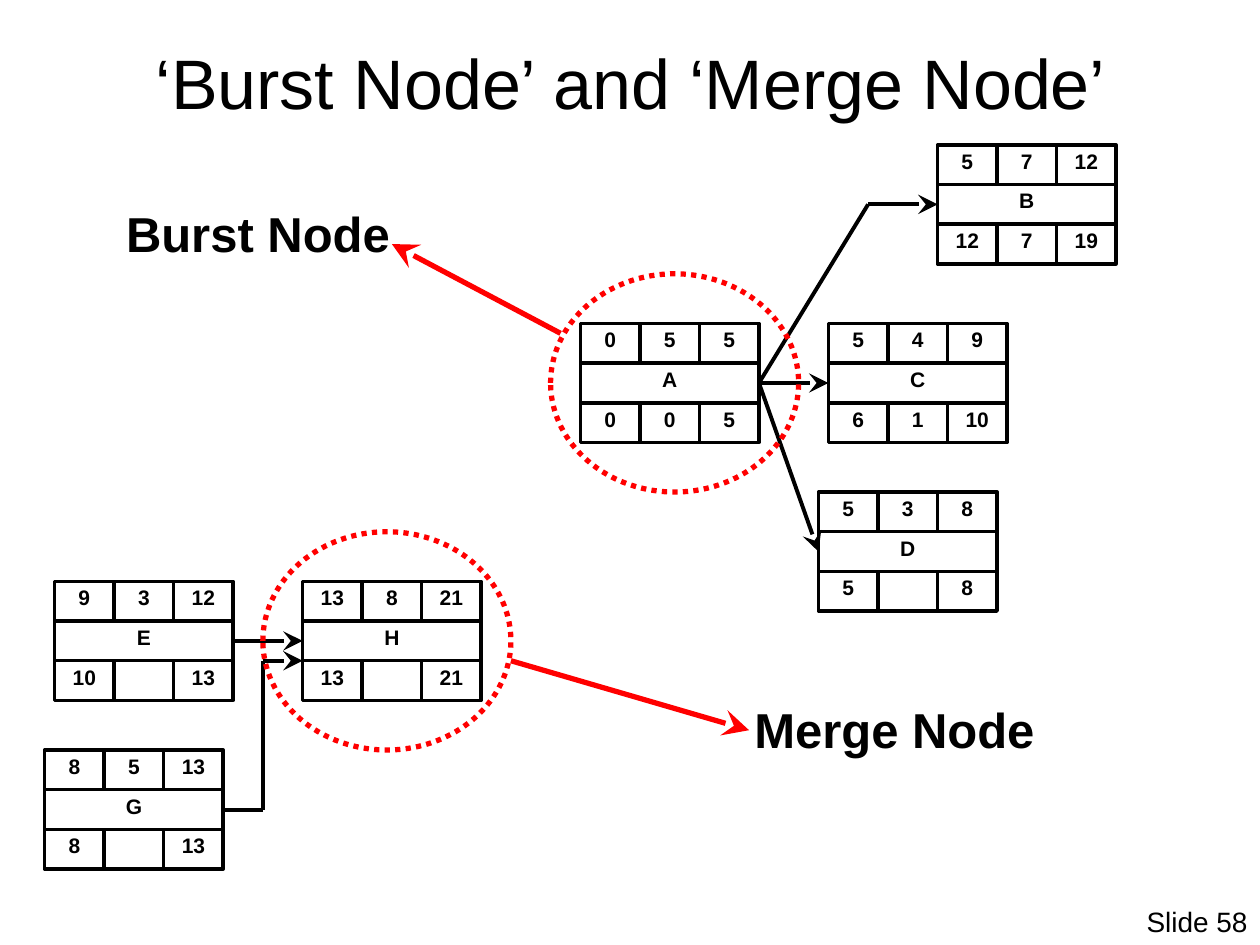
from dataclasses import dataclass

from lxml.etree import SubElement
from pptx import Presentation
from pptx.dml.color import RGBColor
from pptx.enum.dml import MSO_LINE
from pptx.enum.shapes import MSO_CONNECTOR, MSO_SHAPE
from pptx.enum.text import MSO_ANCHOR, PP_ALIGN
from pptx.oxml.ns import qn
from pptx.util import Inches, Pt

PX = 7200  # EMU per px: 127 px to the inch, 5 px to the millimetre


@dataclass(frozen=True)
class Theme:
    font: str = "Arial"
    ink: RGBColor = RGBColor(0, 0, 0)
    accent: RGBColor = RGBColor(255, 0, 0)
    title: int = 40
    label: int = 28
    footer: int = 16
    cell: int = 12
    border: float = 2
    link: float = 2.25
    callout: float = 3


theme = Theme()


def write(shape, text, size, align=PP_ALIGN.CENTER, bold=False, wrap=True, spacing=0.9):
    frame = shape.text_frame
    frame.word_wrap = wrap
    frame.text = text
    para = frame.paragraphs[0]
    para.alignment = align
    para.line_spacing = spacing
    para.font.name = theme.font
    para.font.size = Pt(size)
    para.font.bold = bold
    para.font.color.rgb = theme.ink


def draw_line(shapes, points, color, width, arrow=True):
    line = shapes.add_connector(MSO_CONNECTOR.STRAIGHT, *(value * PX for value in points))
    line.line.color.rgb = color
    line.line.width = Pt(width)
    if arrow:
        outline = line.line._get_or_add_ln()
        SubElement(outline, qn("a:tailEnd"), type="stealth", w="lg", len="lg")
    SubElement(line._element.spPr, qn("a:effectLst"))


deck = Presentation()
deck.slide_width, deck.slide_height = Inches(10), Inches(7.5)
page = deck.slides.add_slide(deck.slide_layouts[5])

title = page.shapes.title
title.left, title.top, title.width, title.height = (v * PX for v in (64, 38, 1143, 88))
write(title, "‘Burst Node’ and ‘Merge Node’", theme.title, spacing=1.0)
title.text_frame.vertical_anchor = MSO_ANCHOR.MIDDLE

footer = page.shapes.add_textbox(*(v * PX for v in (1095, 909, 175, 43)))
write(footer, "Slide 58", theme.footer, PP_ALIGN.RIGHT)

# Every node is a 3 by 3 grid whose middle row is one cell with the name.
CELL_W, CELL_H = 60, 40
NODE_W, NODE_MID = 3 * CELL_W, 3 * CELL_H // 2

# Nodes: name, left, top, upper row, lower row.
# Links: x1, y1, x2, y2, has an arrowhead.
networks = [
    {
        "nodes": [
            ("A", 585, 326, ("0", "5", "5"), ("0", "0", "5")),
            ("C", 835, 326, ("5", "4", "9"), ("6", "1", "10")),
            ("B", 945, 146, ("5", "7", "12"), ("12", "7", "19")),
            ("D", 825, 496, ("5", "3", "8"), ("5", "", "8")),
        ],
        "links": [
            (765, 386, 835, 386, True),
            (765, 386, 825, 556, True),
            (875, 206, 945, 206, True),
            (765, 386, 875, 206, False),
        ],
    },
    {
        "nodes": [
            ("E", 55, 586, ("9", "3", "12"), ("10", "", "13")),
            ("H", 305, 586, ("13", "8", "21"), ("13", "", "21")),
            ("G", 45, 756, ("8", "5", "13"), ("8", "", "13")),
        ],
        "links": [
            (235, 646, 305, 646, True),
            (225, 816, 265, 816, False),
            (265, 666, 305, 666, True),
            (265, 666, 265, 816, False),
        ],
    },
]

for network in networks:
    group = page.shapes.add_group_shape()
    for name, left, top, upper, lower in network["nodes"]:
        cells = [(name, left, top + CELL_H, NODE_W)]
        for row_top, values in ((top, upper), (top + 2 * CELL_H, lower)):
            for column, value in enumerate(values):
                cells.append((value, left + column * CELL_W, row_top, CELL_W))
        for text, x, y, width in cells:
            box = group.shapes.add_shape(
                MSO_SHAPE.RECTANGLE, x * PX, y * PX, width * PX, CELL_H * PX
            )
            box.shadow.inherit = False
            box.fill.background()
            box.line.color.rgb = theme.ink
            box.line.width = Pt(theme.border)
            if text:
                write(box, text, theme.cell, bold=True)
                box.text_frame.vertical_anchor = MSO_ANCHOR.TOP
    for *points, arrow in network["links"]:
        draw_line(group.shapes, points, theme.ink, theme.link, arrow)

# Callouts: label, label left, top and width, node left and top, arrow.
RING_W, RING_H = 250, 220
callouts = [
    ("Burst Node", 114, 206, 292, 585, 326, (565, 336, 395, 246)),
    ("Merge Node", 747, 706, 309, 305, 586, (515, 666, 755, 736)),
]
for label, x, y, width, node_left, node_top, points in callouts:
    ring = page.shapes.add_shape(
        MSO_SHAPE.OVAL,
        (node_left - 30 - 10 * (label == "Merge Node")) * PX,
        (node_top + NODE_MID - RING_H // 2) * PX,
        RING_W * PX,
        RING_H * PX,
    )
    ring.shadow.inherit = False
    ring.fill.background()
    ring.line.color.rgb = theme.accent
    ring.line.width = Pt(theme.callout)
    ring.line.dash_style = MSO_LINE.ROUND_DOT
    draw_line(page.shapes, points, theme.accent, theme.callout)
    caption = page.shapes.add_textbox(x * PX, y * PX, width * PX, 66 * PX)
    write(caption, label, theme.label, bold=True, wrap=False)

deck.save("out.pptx")
